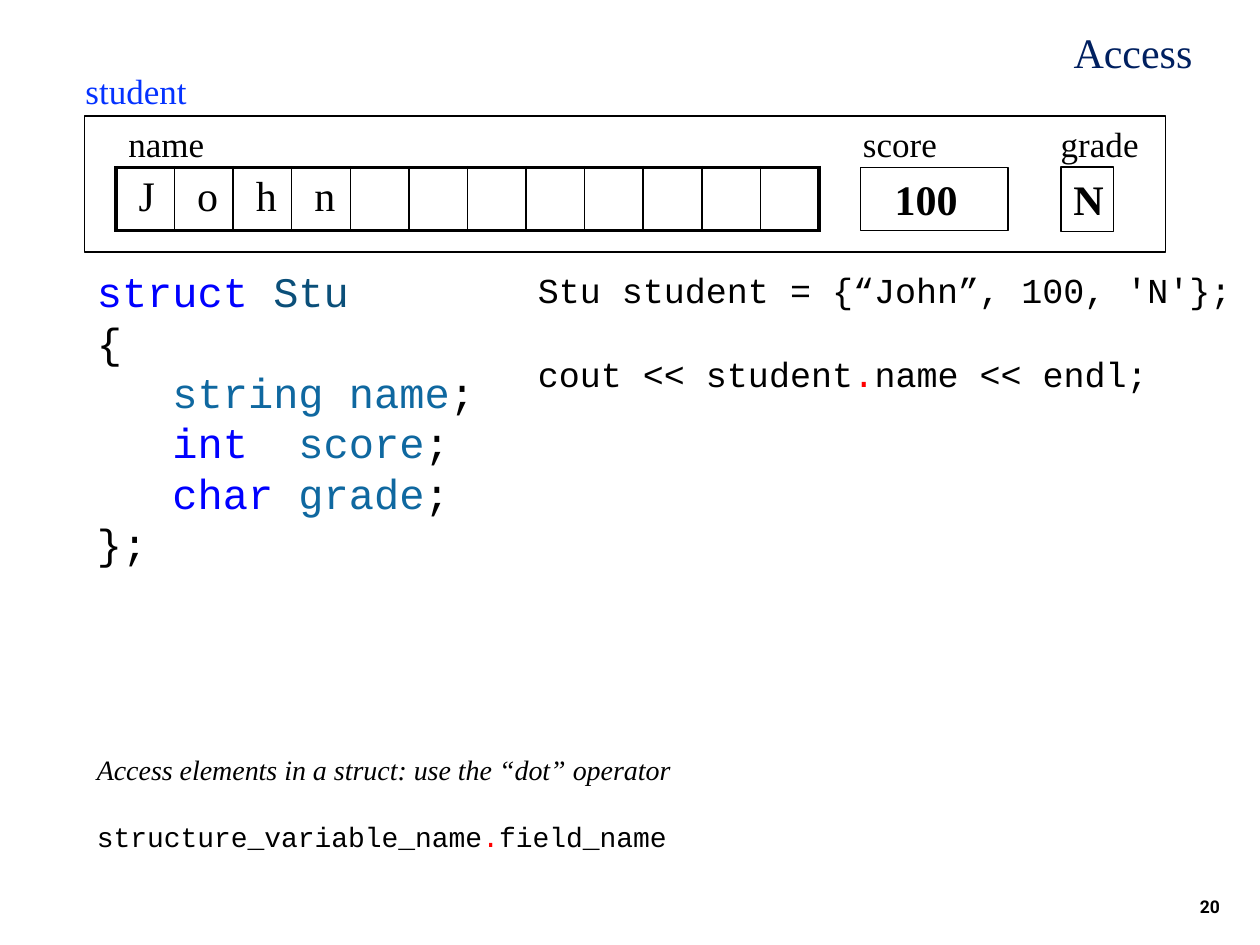
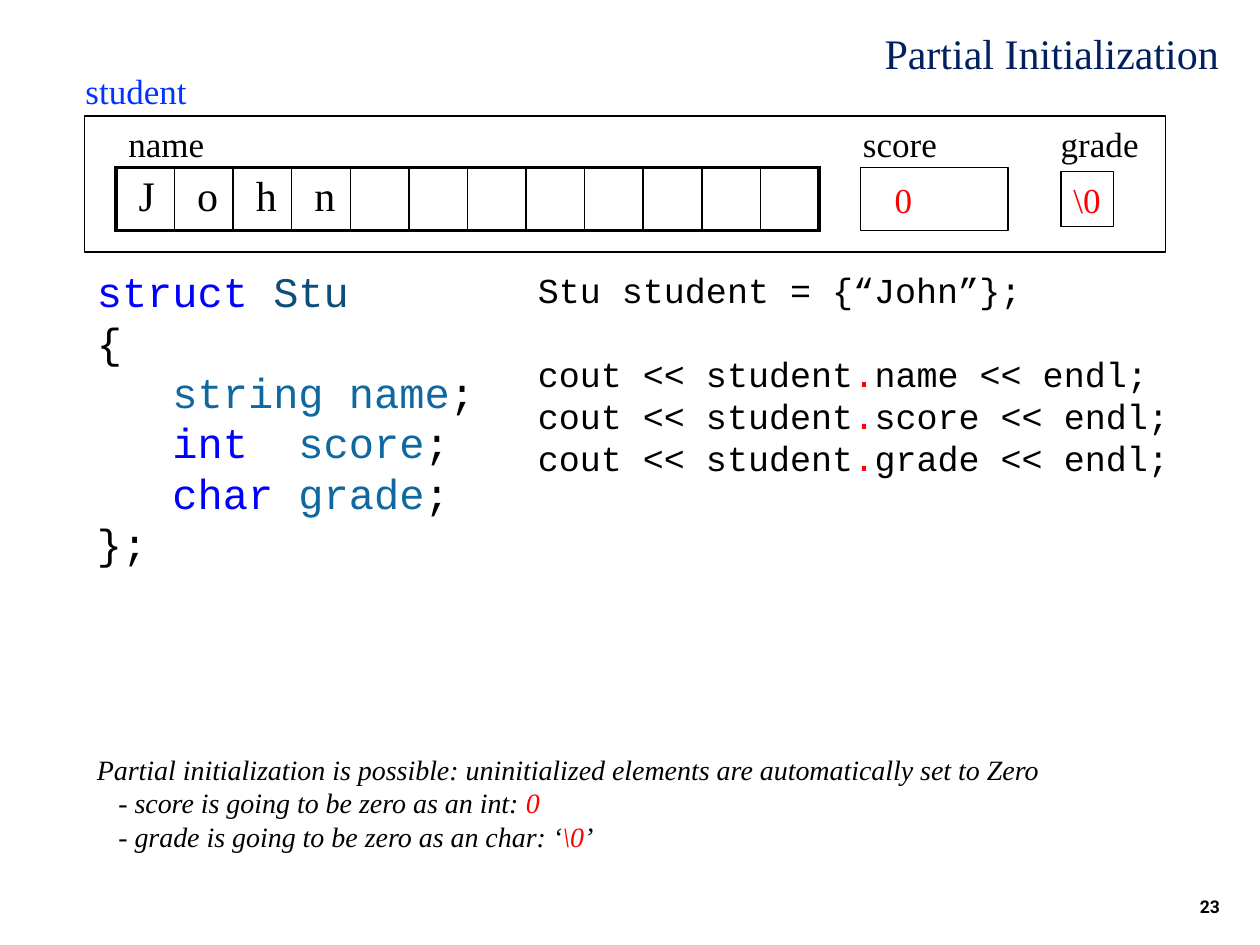
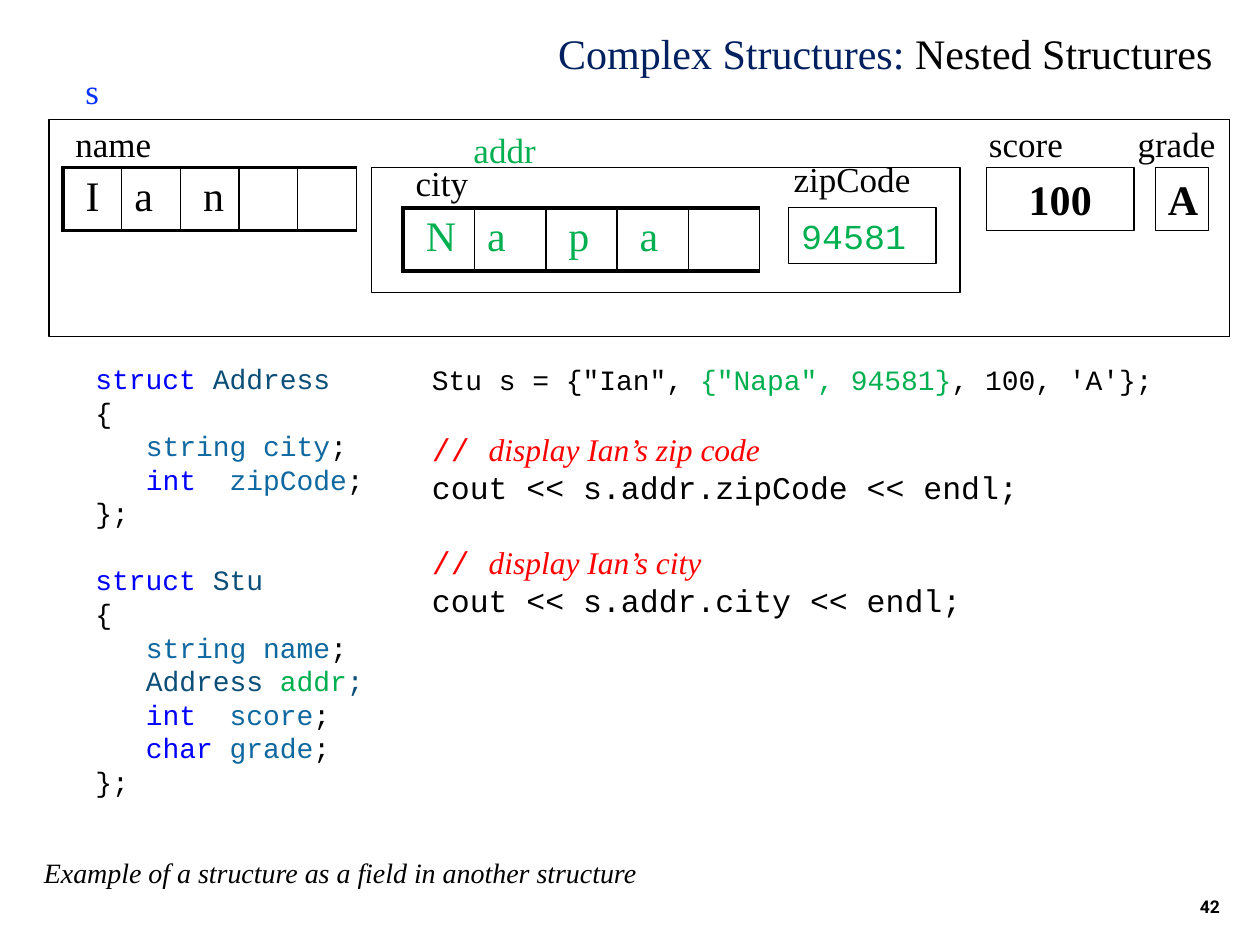
from dataclasses import dataclass, replace

from lxml.etree import SubElement
from pptx import Presentation
from pptx.dml.color import RGBColor
from pptx.enum.shapes import MSO_SHAPE
from pptx.enum.text import MSO_ANCHOR as ANCHOR, MSO_AUTO_SIZE as AUTO_SIZE, PP_ALIGN as ALIGN
from pptx.oxml.ns import qn
from pptx.util import Inches, Pt

BLACK, RED, GREEN = "000000", "FF0000", "00B050"
NAVY, LABEL_BLUE, KEYWORD = "002060", "0432FF", "0000FF"
TYPE_NAME, FIELD = "0B4F79", "0F68A0"
SERIF, MONO = "Times New Roman", "Courier New"
LINE_RATIO = 1.2


@dataclass(frozen=True)
class Style:
    font: str = SERIF
    size: int = 20
    colour: str = BLACK
    bold: bool = False
    italic: bool = False

    def tint(self, colour):
        return replace(self, colour=colour)


@dataclass
class Line:
    runs: list
    indent: float = 0
    gap: float = 0


LABEL = Style()
TITLE = Style(size=24, colour=NAVY)
VALUE = Style(size=24, bold=True)
LETTER = Style(size=24)
NOTE = Style(size=16, italic=True)
CODE = Style(font=MONO)
SMALL_CODE = Style(font=MONO, size=16)
PAGE = Style(font="Roboto", size=10, bold=True)


def rgb(colour):
    return RGBColor.from_string(colour)


def write_runs(paragraph, runs):
    for text, style in runs:
        run = paragraph.add_run()
        run.text = text
        run.font.name = style.font
        run.font.size = Pt(style.size)
        run.font.bold = style.bold
        run.font.italic = style.italic
        run.font.color.rgb = rgb(style.colour)


def write_lines(text_frame, lines, align=ALIGN.LEFT):
    for index, line in enumerate(lines):
        paragraph = text_frame.add_paragraph() if index else text_frame.paragraphs[0]
        paragraph.alignment = align
        paragraph.space_before = Pt(line.gap * LINE_RATIO)
        size = max(style.size for _, style in line.runs)
        paragraph.line_spacing = Pt(size * LINE_RATIO)
        if line.indent:
            properties = paragraph._p.get_or_add_pPr()
            properties.set("marL", str(Inches(line.indent)))
            properties.set("indent", "0")
        write_runs(paragraph, line.runs)


def place(shape, box):
    shape.left, shape.top, shape.width, shape.height = map(Inches, box)


def add_text(slide, box, lines, wrap=True, align=ALIGN.LEFT, anchor=ANCHOR.TOP):
    shape = slide.shapes.add_textbox(*map(Inches, box))
    text_frame = shape.text_frame
    text_frame.word_wrap = wrap
    text_frame.vertical_anchor = anchor
    write_lines(text_frame, lines, align)


def add_label(slide, box, text, colour=BLACK):
    add_text(slide, box, [Line([(text, LABEL.tint(colour))])], wrap=False)


def add_frame(slide, box, text="", style=VALUE, align=ALIGN.LEFT, inset=0.1):
    shape = slide.shapes.add_shape(MSO_SHAPE.RECTANGLE, *map(Inches, box))
    shape.shadow.inherit = False
    shape.fill.background()
    shape.line.color.rgb = rgb(BLACK)
    shape.line.width = Pt(0.75)
    if text:
        text_frame = shape.text_frame
        text_frame.margin_left = Inches(inset)
        text_frame.vertical_anchor = ANCHOR.MIDDLE
        write_lines(text_frame, [Line([(text, style)])], align)


def set_borders(cell, widths):
    properties = cell._tc.get_or_add_tcPr()
    for position, (side, width) in enumerate(widths.items()):
        line = properties.makeelement(qn(f"a:{side}"), {"w": str(Pt(width))})
        fill = SubElement(line, qn("a:solidFill"))
        SubElement(fill, qn("a:srgbClr"), val=BLACK)
        properties.insert(position, line)


def add_letters(slide, box, letters, count, colour=BLACK, right_edge=1, tight=()):
    table = slide.shapes.add_table(1, count, *map(Inches, box)).table
    table.first_row = table.horz_banding = False
    for index in range(count):
        table.columns[index].width = Inches(box[2] / count)
        cell = table.cell(0, index)
        cell.fill.background()
        cell.margin_left = Inches(0.1 if index in tight else 0.18)
        set_borders(cell, {
            "lnL": 1 if index else 2.25,
            "lnR": right_edge if index == count - 1 else 1,
            "lnT": 2.25,
            "lnB": 2.25,
        })
        if index < len(letters):
            write_runs(cell.text_frame.paragraphs[0], [(letters[index], LETTER.tint(colour))])


def struct_lines(name, fields, style, gap=0):
    indent = round(3 * 0.6 * style.size / 72, 2)
    head = Line([("struct ", style.tint(KEYWORD)), (name, style.tint(TYPE_NAME))], gap=gap)
    body = []
    for kind, field in fields:
        kind_colour = {"string ": FIELD, "Address ": TYPE_NAME}.get(kind, KEYWORD)
        nested = kind == "Address "
        body.append(Line([
            (kind, style.tint(kind_colour)),
            (field, style.tint(GREEN if nested else FIELD)),
            (";", style.tint(TYPE_NAME if nested else BLACK)),
        ], indent))
    return [head, Line([("{", style)]), *body, Line([("};", style)])]


def dotted(before, after, style=CODE, gap=0):
    return Line([(before, style), (".", style.tint(RED)), (after, style)], gap=gap)


def start_slide(presentation, box, title_runs, number):
    slide = presentation.slides.add_slide(presentation.slide_layouts[5])
    title = slide.shapes.title
    place(title, box)
    title.text_frame.auto_size = AUTO_SIZE.NONE
    title.text_frame.word_wrap = True
    title.text_frame.vertical_anchor = ANCHOR.TOP
    write_lines(title.text_frame, [Line(title_runs)])
    add_text(slide, (7.7, 6.83, 2.08, 0.5), [Line([(str(number), PAGE)])],
             align=ALIGN.RIGHT, anchor=ANCHOR.BOTTOM)
    return slide


def student_record(slide, box, score, grade, style, grade_height):
    left, top, width, height = box
    add_frame(slide, box)
    add_label(slide, (left - 0.09, top - 0.42, 1.01, 0.44), "student", LABEL_BLUE)
    for offset, label, label_width in ((0.25, "name", 0.81), (6.08, "score", 0.82), (7.65, "grade", 0.82)):
        add_label(slide, (left + offset, top, label_width, 0.44), label)
    add_letters(slide, (left + 0.25, top + 0.41, 5.58, 0.5), "John", 12, right_edge=2.25)
    add_frame(slide, (left + 6.16, top + 0.41, 1.17, 0.5), score, style, inset=0.27)
    grade_top = top + 0.66 - grade_height / 2
    add_frame(slide, (left + 7.75, grade_top, 0.42, grade_height), grade, style)


def address_record(slide, box):
    left, top, width, height = box
    add_frame(slide, box)
    add_label(slide, (left + 0.71, top - 0.36, 0.76, 0.44), "addr", GREEN)
    add_label(slide, (left + 0.25, top - 0.1, 0.62, 0.44), "city")
    add_label(slide, (left + 3.25, top - 0.13, 1.14, 0.44), "zipCode")
    add_letters(slide, (left + 0.25, top + 0.32, 2.83, 0.5), "Napa", 5, GREEN, tight=(1,))
    add_frame(slide, (left + 3.31, top + 0.32, 1.17, 0.44), "94581", CODE.tint(GREEN))


def nested_record(slide, box):
    left, top, width, height = box
    add_frame(slide, box)
    add_label(slide, (left + 0.19, top - 0.45, 0.31, 0.44), "s", LABEL_BLUE)
    for offset, label, label_width in ((0.11, "name", 0.81), (7.36, "score", 0.82), (8.54, "grade", 0.82)):
        add_label(slide, (left + offset, top - 0.03, label_width, 0.44), label)
    row = top + 0.38
    add_letters(slide, (left + 0.11, row, 2.33, 0.5), "Ian", 5, tight=(1,))
    address_record(slide, (left + 2.56, row, 4.67, 0.99))
    add_frame(slide, (left + 7.44, row, 1.17, 0.5), "100", align=ALIGN.CENTER)
    add_frame(slide, (left + 8.78, row, 0.42, 0.5), "A")


def student_slide(presentation, title, title_box, number, record, code, code_box, notes):
    slide = start_slide(presentation, title_box, [(title, TITLE)], number)
    student_record(slide, (0.67, 0.92, 8.58, 1.08), *record)
    fields = [("string ", "name"), ("int  ", "score"), ("char ", "grade")]
    add_text(slide, (0.67, 2.06, 3.25, 2.52),
             struct_lines("Stu", fields, replace(CODE, size=24)), wrap=False)
    add_text(slide, code_box, code, wrap=False)
    add_text(slide, (0.67, 5.92, 8.75, 0.91), notes)


def nested_slide(presentation):
    slide = start_slide(presentation, (4.33, 0.17, 5.5, 0.5), [
        ("Complex Structures: ", TITLE), ("Nested Structures", TITLE.tint(BLACK)),
    ], 42)
    nested_record(slide, (0.39, 0.95, 9.37, 1.72))
    address = [("string ", "city"), ("int  ", "zipCode")]
    student = [("string ", "name"), ("Address ", "addr"), ("int  ", "score"), ("char ", "grade")]
    add_text(slide, (0.66, 2.82, 2.36, 3.6),
             struct_lines("Address", address, SMALL_CODE)
             + struct_lines("Stu", student, SMALL_CODE, gap=16), wrap=False)

    code = [Line([
        ("Stu s = {\"Ian\", ", SMALL_CODE),
        ("{\"Napa\", 94581}", SMALL_CODE.tint(GREEN)),
        (", 100, 'A'};", SMALL_CODE),
    ])]
    statement = replace(CODE, size=18)
    comment = Style(size=18, colour=RED, italic=True)
    for subject, field, gap in (("zip code", "zipCode", 16), ("city", "city", 18)):
        code += [
            Line([("// ", statement.tint(RED)), (f"display Ian’s {subject}", comment)], gap=gap),
            Line([(f"cout << s.addr.{field} << endl;", statement)]),
        ]
    add_text(slide, (3.33, 2.83, 6.01, 2.15), code, wrap=False)
    add_text(slide, (0.25, 6.74, 5, 0.37),
             [Line([("Example of a structure as a field in another structure", NOTE)])])


def main():
    presentation = Presentation()
    presentation.slide_width, presentation.slide_height = Inches(10), Inches(7.5)

    student_slide(
        presentation, "Access", (8.42, 0.16, 1.33, 0.51), 20,
        ("100", "N", VALUE, 0.51),
        [Line([("Stu student = {“John”, 100, 'N'};", CODE)]),
         dotted("cout << student", "name << endl;", gap=20)],
        (4.17, 2.08, 5.76, 1.11),
        [Line([("Access elements in a struct: use the “dot” operator", NOTE)]),
         dotted("structure_variable_name", "field_name", SMALL_CODE, gap=16)],
    )

    red_note = NOTE.tint(RED)
    student_slide(
        presentation, "Partial Initialization", (6.92, 0.17, 2.87, 0.51), 23,
        ("0", "\\0", LABEL.tint(RED), 0.44),
        [Line([("Stu student = {“John”};", CODE)])]
        + [dotted("cout << student", f"{field} << endl;", gap=gap)
           for field, gap in (("name", 20), ("score", 0), ("grade", 0))],
        (4.17, 2.08, 5.25, 2.46),
        [Line([("Partial initialization is possible: uninitialized elements "
                "are automatically set to Zero", NOTE)]),
         Line([("- score is going to be zero as an int: ", NOTE), ("0", red_note)], 0.17),
         Line([("- grade is going to be zero as an char: ‘", NOTE), ("\\0", red_note),
               ("’", NOTE)], 0.17)],
    )

    nested_slide(presentation)
    presentation.save("out.pptx")


if __name__ == "__main__":
    main()
